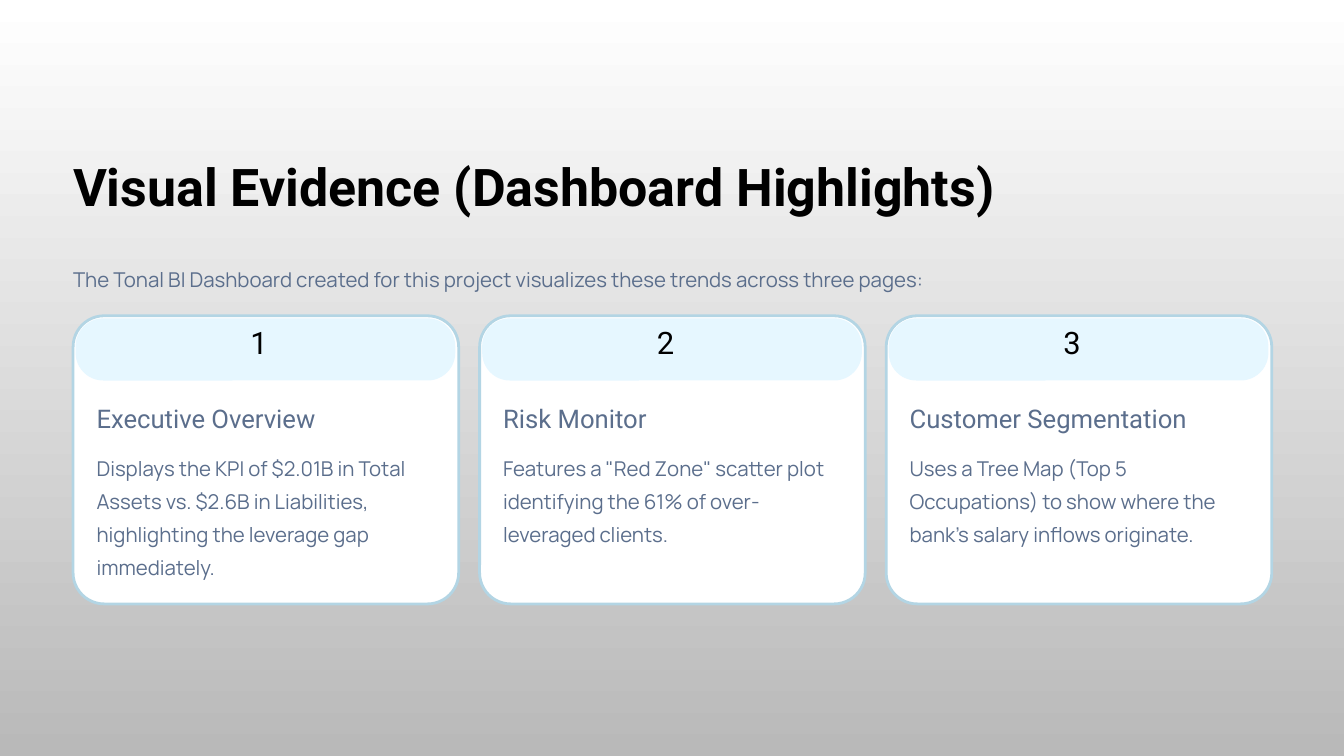
import dataclasses

import pptx
import pptx.dml.color
import pptx.enum.shapes
import pptx.util

Inches = pptx.util.Inches
Pt = pptx.util.Pt


@dataclasses.dataclass(frozen=True)
class Theme:
    heading_font: str = "Roboto"
    body_font: str = "Manrope"
    ink: str = "000000"
    slate: str = "5B6E8C"
    card_fill: str = "FFFFFF"
    card_line: str = "B3D5E4"
    band_fill: str = "E6F7FF"
    backdrop: tuple = ("FFFFFF", "B9B9B9")
    # Type styles: font, size, line spacing, colour, bold
    title: tuple = (heading_font, 44.5, 55.5, ink, True)
    number: tuple = (heading_font, 26.5, 26.5, ink, False)
    label: tuple = (heading_font, 22, 27.5, slate, False)
    body: tuple = (body_font, 17.5, 28.5, slate, False)


def rgb(value):
    return pptx.dml.color.RGBColor.from_string(value)


class SlideBuilder:
    def __init__(self, page, theme):
        self.page = page
        self.theme = theme

    def background(self):
        fill = self.page.background.fill
        fill.gradient()
        fill.gradient_angle = 270
        for position, (stop, color) in enumerate(zip(fill.gradient_stops, self.theme.backdrop)):
            stop.color.rgb = rgb(color)
            stop.position = position

    def text(self, words, left, top, width, height, style, wrap=False):
        font, size, spacing, color, bold = style
        box = self.page.shapes.add_textbox(Inches(left), Inches(top), Inches(width), Inches(height))
        frame = box.text_frame
        frame.word_wrap = wrap
        frame.margin_left = frame.margin_top = frame.margin_right = frame.margin_bottom = 0
        para = frame.paragraphs[0]
        para.line_spacing = Pt(spacing)
        span = para.add_run()
        span.text = words
        span.font.name = font
        span.font.size = Pt(size)
        span.font.bold = bold
        span.font.color.rgb = rgb(color)

    def panel(self, left, top, width, height, rounding, fill, line=None):
        shape = self.page.shapes.add_shape(
            pptx.enum.shapes.MSO_SHAPE.ROUNDED_RECTANGLE,
            Inches(left), Inches(top), Inches(width), Inches(height))
        shape.shadow.inherit = False
        shape.adjustments[0] = rounding
        shape.fill.solid()
        shape.fill.fore_color.rgb = rgb(fill)
        if line:
            shape.line.color.rgb = rgb(line)
            shape.line.width = Pt(2.4)
        else:
            shape.line.fill.background()

    def card(self, left, number, label, description):
        theme = self.theme
        self.panel(left, 3.76, 4.59, 3.43, 0.108, theme.card_fill, theme.card_line)
        self.panel(left + 0.03, 3.79, 4.52, 0.74, 0.446, theme.band_fill)
        self.text(str(number), left + 2.11, 3.93, 0.37, 0.47, theme.number)
        self.text(label, left + 0.28, 4.78, 3.83, 0.39, theme.label)
        self.text(description, left + 0.28, 5.32, 4.03, 1.59, theme.body, wrap=True)


CARDS = [
    ("Executive Overview",
     "Displays the KPI of $2.01B in Total Assets vs. $2.6B in Liabilities, "
     "highlighting the leverage gap immediately."),
    ("Risk Monitor",
     'Features a "Red Zone" scatter plot identifying the 61% of over-leveraged clients.'),
    ("Customer Segmentation",
     "Uses a Tree Map (Top 5 Occupations) to show where the bank's salary inflows originate."),
]
MARGIN = 0.87
CARD_STEP = 4.84


def main():
    deck = pptx.Presentation()
    deck.slide_width = Inches(16)
    deck.slide_height = Inches(9)
    theme = Theme()
    builder = SlideBuilder(deck.slides.add_slide(deck.slide_layouts[6]), theme)

    # Background and heading
    builder.background()
    builder.text("Visual Evidence (Dashboard Highlights)", MARGIN, 1.81, 12.24, 0.78, theme.title)
    builder.text(
        "The Tonal BI Dashboard created for this project visualizes these trends across three pages:",
        MARGIN, 3.08, 14.26, 0.4, theme.body)

    # Numbered cards
    for index, (label, description) in enumerate(CARDS):
        builder.card(MARGIN + index * CARD_STEP, index + 1, label, description)

    deck.save("out.pptx")


if __name__ == "__main__":
    main()
